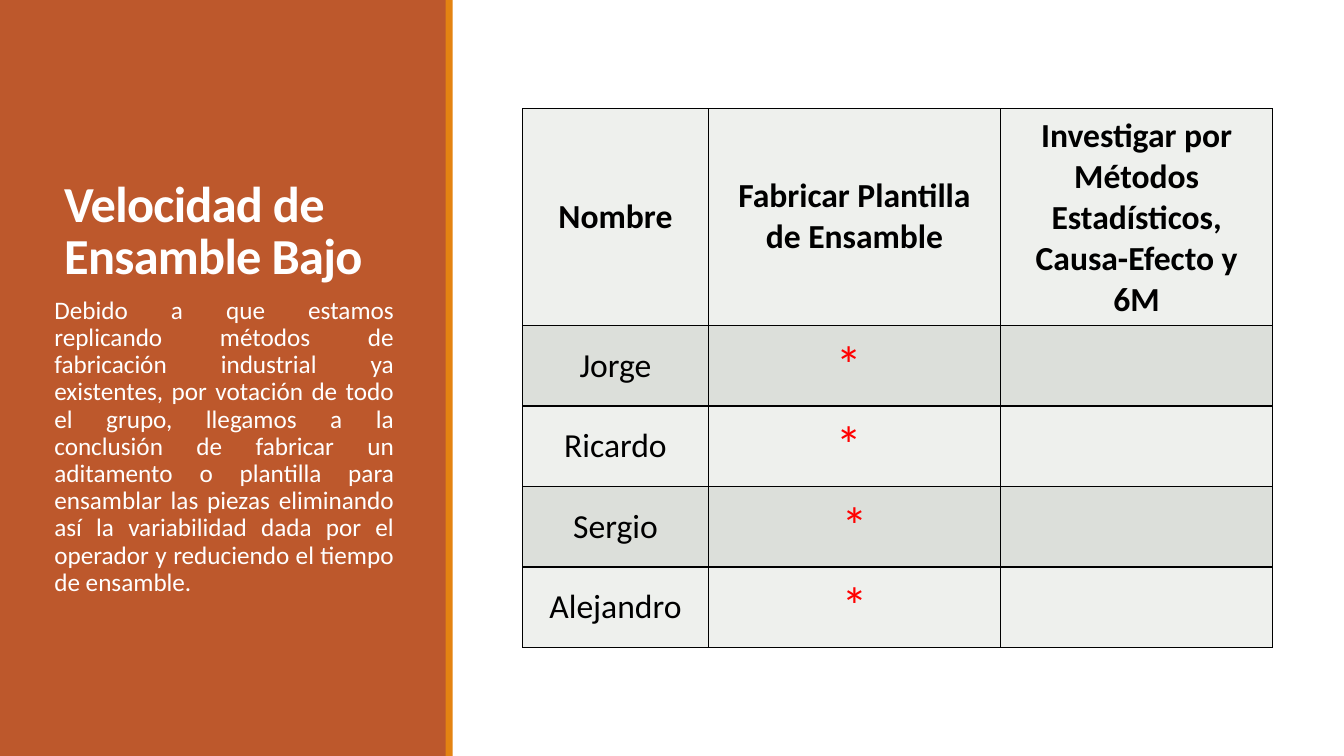
"""Build a slide with a colored side panel and a table of votes."""
from lxml import etree
from pptx import Presentation, util as u
from pptx.dml.color import RGBColor
from pptx.enum import shapes, text
from pptx.oxml.ns import qn

TITLE = "Velocidad de Ensamble Bajo"
BODY = (
    "Debido a que estamos replicando métodos de fabricación industrial ya "
    "existentes, por votación de todo el grupo, llegamos a la conclusión de "
    "fabricar un aditamento o plantilla para ensamblar las piezas eliminando "
    "así la variabilidad dada por el operador y reduciendo el tiempo de ensamble."
)
HEAD = ("Nombre", "Fabricar Plantilla de Ensamble",
        "Investigar por Métodos Estadísticos, Causa-Efecto y 6M")
VOTES = [("Jorge", "* ", ""), ("Ricardo", "* ", ""),
         ("Sergio", "*", ""), ("Alejandro", "*", "")]
RUST, GOLD, WHITE, BLACK, RED = "BD582C", "E48312", "FFFFFF", "000000", "FF0000"
BANDS = ("EEF0ED", "DCDFDA")
WIDE, TALL = 33.87, 19.05
PANEL = 11.25
COLS = (4.68, 7.37, 6.85)
ROWS = (5.46,) + (2.03,) * len(VOTES)


def paint(part, color):
    part.solid()
    part.fore_color.rgb = RGBColor.from_string(color)


def style(para, size, color, bold=False):
    font = para.font
    font.name, font.size, font.bold = "Calibri", u.Pt(size), bold
    paint(font.fill, color)


def add_bar(slide, left, width, color):
    bar = slide.shapes.add_shape(shapes.MSO_SHAPE.RECTANGLE, u.Cm(left), 0,
                                 u.Cm(width), u.Cm(TALL))
    bar.shadow.inherit = False
    paint(bar.fill, color)
    bar.line.fill.background()


def add_text(slide, words, top, height, size, gap, bold=False):
    box = slide.shapes.add_textbox(u.Cm(1.37), u.Cm(top), u.Cm(8.56), u.Cm(height))
    frame = box.text_frame
    frame.word_wrap = True
    para = frame.paragraphs[0]
    para.text = words
    para.line_spacing, para.space_after = gap, u.Pt(6)
    style(para, size, WHITE, bold)
    return frame


def add_edges(cell):
    props = cell._tc.get_or_add_tcPr()
    for side in ("a:lnL", "a:lnR", "a:lnT", "a:lnB"):
        line = etree.SubElement(props, qn(side), w=str(u.Pt(1)))
        fill = etree.SubElement(line, qn("a:solidFill"))
        etree.SubElement(fill, qn("a:srgbClr"), val=BLACK)


def fill_cell(cell, words, row):
    add_edges(cell)
    paint(cell.fill, BANDS[row % 2])
    cell.vertical_anchor = text.MSO_ANCHOR.MIDDLE
    cell.margin_left = cell.margin_right = u.Cm(0.33)
    cell.margin_top = cell.margin_bottom = u.Cm(0.17)
    if words:
        para = cell.text_frame.paragraphs[0]
        para.text = words
        para.alignment = text.PP_ALIGN.CENTER
        star = words.startswith("*")
        style(para, 37 if star else 24, RED if star else BLACK, row == 0)


def add_votes(slide):
    data = [HEAD] + VOTES
    grid = slide.shapes.add_table(len(ROWS), len(COLS), u.Cm(13.17), u.Cm(2.74),
                                  u.Cm(sum(COLS)), u.Cm(sum(ROWS))).table
    for col, width in zip(grid.columns, COLS):
        col.width = u.Cm(width)
    for row, height in zip(grid.rows, ROWS):
        row.height = u.Cm(height)
    for r, line in enumerate(data):
        for c, words in enumerate(line):
            fill_cell(grid.cell(r, c), words, r)


def main():
    deck = Presentation()
    deck.slide_width, deck.slide_height = u.Cm(WIDE), u.Cm(TALL)
    slide = deck.slides.add_slide(deck.slide_layouts[6])
    add_bar(slide, 0, PANEL, RUST)
    title = add_text(slide, TITLE, 1.45, 5.84, 36, 0.85, True)
    title.vertical_anchor = text.MSO_ANCHOR.BOTTOM
    title.paragraphs[0].runs[0]._r.get_or_add_rPr().set("spc", "-50")
    body = add_text(slide, BODY, 7.37, 9.27, 18, 0.9)
    body.margin_left = body.margin_right = 0
    body.paragraphs[0].alignment = text.PP_ALIGN.JUSTIFY
    add_bar(slide, PANEL - 0.02, 0.18, GOLD)
    add_votes(slide)
    deck.save("out.pptx")


if __name__ == "__main__":
    main()
